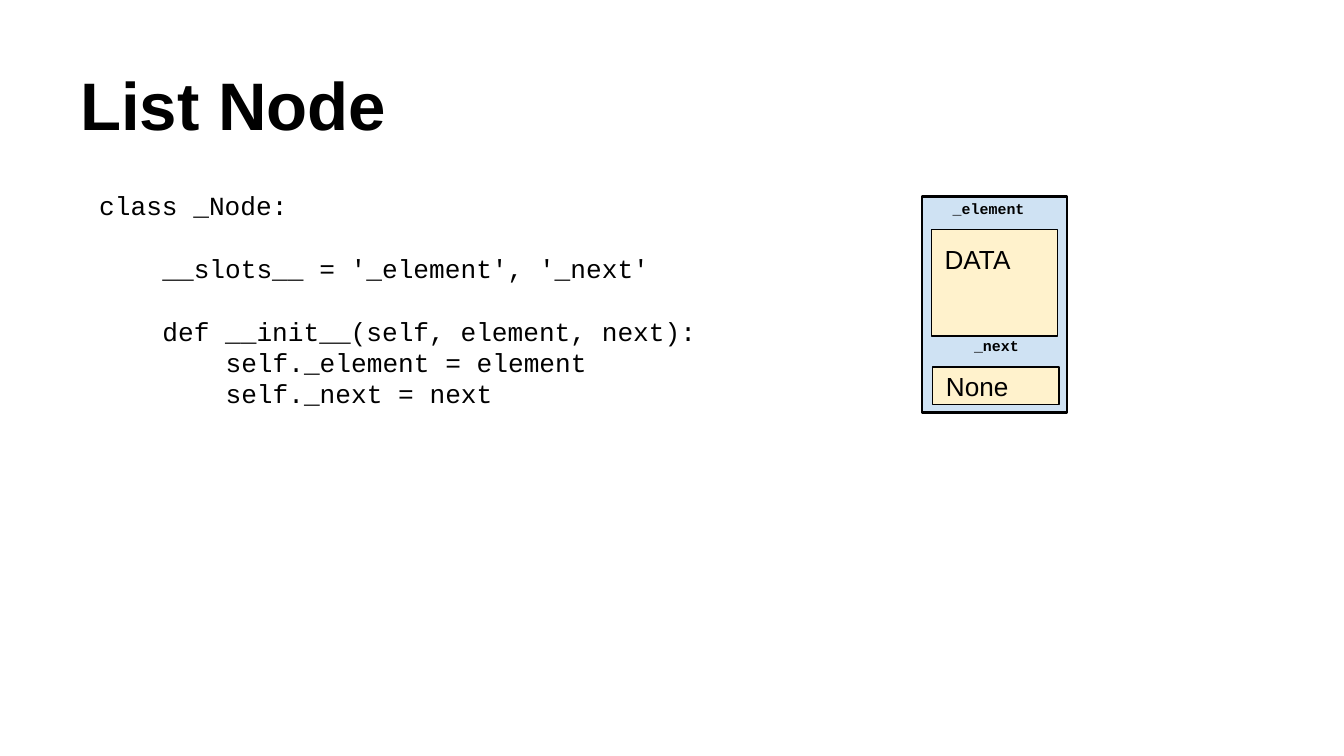
"""Build the List Node slide."""
from pptx import Presentation
from pptx.dml.color import RGBColor
from pptx.enum.shapes import MSO_SHAPE
from pptx.enum.text import MSO_ANCHOR, PP_ALIGN
from pptx.util import Inches, Pt

INK = {"black": "000000", "blue": "CFE2F3", "cream": "FFF2CC"}
FONTS = {
    "title": {"name": "Arial", "size": Pt(36), "bold": True},
    "code": {"name": "Courier New", "size": Pt(14), "bold": False},
    "label": {"name": "Courier New", "size": Pt(8), "bold": True},
    "value": {"name": "Arial", "size": Pt(14), "bold": False},
}
TOP, MID, LOW = MSO_ANCHOR.TOP, MSO_ANCHOR.MIDDLE, MSO_ANCHOR.BOTTOM
LEFT, MIDST = PP_ALIGN.LEFT, PP_ALIGN.CENTER
INDENT = Inches(0.47)
GAP = Pt(16.8)

TITLE = [("List Node", 0, 0)]
CODE = [
    ("class _Node:", 0, 0),
    ("__slots__ = '_element', '_next'", 1, 1),
    ("def __init__(self, element, next):", 1, 1),
    ("self._element = element", 2, 0),
    ("self._next = next", 2, 0),
]
TEXTS = [
    ((0.5, 0.23, 9, 0.94), TITLE, "title", LOW),
    ((0.64, 1.31, 5.14, 2), CODE, "code", TOP),
]
NODE = [
    ((6.86, 1.46, 1.08, 1.61), "blue", 1.5, "", "value", TOP, LEFT),
    ((6.94, 2.73, 0.94, 0.28), "cream", 0.75, "None", "value", MID, LEFT),
    ((7.06, 2.44, 0.71, 0.38), None, 0, "_next", "label", TOP, MIDST),
    ((6.99, 1.42, 0.83, 0.38), None, 0, "_element", "label", TOP, LEFT),
    ((6.93, 1.71, 0.94, 0.79), "cream", 0.75, "DATA", "value", TOP, LEFT),
]


def tint(key):
    return RGBColor.from_string(INK[key])


def write(shape, lines, style, anchor, align=LEFT):
    frame = shape.text_frame
    form = {"word_wrap": True, "vertical_anchor": anchor}
    form |= {f"margin_{side}": Inches(0.1)
             for side in ("left", "top", "right", "bottom")}
    for key, val in form.items():
        setattr(frame, key, val)
    for num, (text, depth, gap) in enumerate(lines):
        para = frame.add_paragraph() if num else frame.paragraphs[0]
        para.alignment = align
        para.space_before = gap * GAP
        if depth:
            para._p.get_or_add_pPr().set("marL", str(depth * INDENT))
        run = para.add_run()
        run.text = text
        for key, val in FONTS[style].items():
            setattr(run.font, key, val)
        run.font.color.rgb = tint("black")


def draw(shapes, box, fill, width):
    place = [Inches(num) for num in box]
    if not fill:
        return shapes.add_textbox(*place)
    shape = shapes.add_shape(MSO_SHAPE.RECTANGLE, *place)
    shape.shadow.inherit = False
    shape.fill.solid()
    shape.fill.fore_color.rgb = tint(fill)
    shape.line.color.rgb = tint("black")
    shape.line.width = Pt(width)
    return shape


deck = Presentation()
deck.slide_width = Inches(10)
deck.slide_height = deck.slide_width * 9 // 16
slide = deck.slides.add_slide(deck.slide_layouts[6])

for box, lines, style, anchor in TEXTS:
    write(draw(slide.shapes, box, None, 0), lines, style, anchor)

node = slide.shapes.add_group_shape()
for box, fill, width, text, style, anchor, align in NODE:
    part = draw(node.shapes, box, fill, width)
    if text:
        write(part, [(text, 0, 0)], style, anchor, align)

deck.save("out.pptx")
